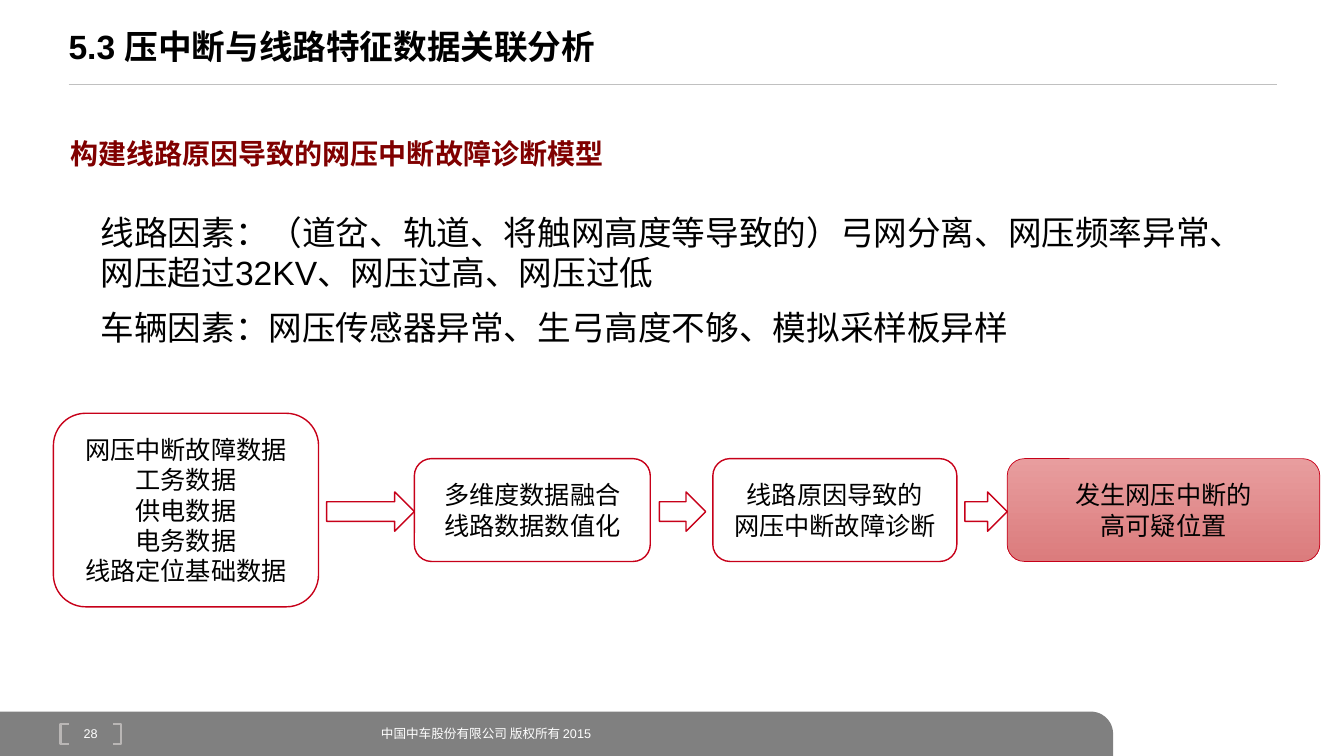
import pptx
import pptx.dml.color
import pptx.enum.dml
import pptx.enum.shapes
import pptx.enum.text
import pptx.oxml.ns
import pptx.util
from lxml import etree

Inches = pptx.util.Inches
Pt = pptx.util.Pt
RGBColor = pptx.dml.color.RGBColor
SHAPE = pptx.enum.shapes.MSO_SHAPE
ALIGN = pptx.enum.text.PP_ALIGN
MIDDLE = pptx.enum.text.MSO_ANCHOR.MIDDLE

BLACK = RGBColor(0x00, 0x00, 0x00)
WHITE = RGBColor(0xFF, 0xFF, 0xFF)
RULE_GRAY = RGBColor(0xC0, 0xC0, 0xC0)
FOOTER_GRAY = RGBColor(0x80, 0x80, 0x80)
BRACKET_GRAY = RGBColor(0xB9, 0xB6, 0xB5)
MAROON = RGBColor(0x80, 0x00, 0x00)
RED = RGBColor(0xC7, 0x00, 0x19)
PINK_TOP = RGBColor(0xE8, 0x9D, 0x9E)
PINK_BOTTOM = RGBColor(0xDB, 0x7C, 0x7D)

presentation = pptx.Presentation()
presentation.slide_width = Inches(13.33)
presentation.slide_height = Inches(7.5)
slide = presentation.slides.add_slide(presentation.slide_layouts[5])


def write(target, text, size, color, align=ALIGN.LEFT, font="Arial", bold=False, wrap=True):
    frame = target.text_frame
    frame.text = text
    frame.word_wrap = wrap
    for paragraph in frame.paragraphs:
        paragraph.alignment = align
        for run in paragraph.runs:
            run.font.name = font
            run.font.size = Pt(size)
            run.font.bold = bold
            run.font.color.rgb = color


def draw(kind, left, top, width, height, fill=None, line=None, weight=1):
    shape = slide.shapes.add_shape(kind, Inches(left), Inches(top), Inches(width), Inches(height))
    shape.shadow.inherit = False
    if fill is None:
        shape.fill.background()
    else:
        shape.fill.solid()
        shape.fill.fore_color.rgb = fill
    if line is None:
        shape.line.fill.background()
    else:
        shape.line.color.rgb = line
        shape.line.width = Pt(weight)
    return shape


title = slide.shapes.title
title.left, title.top = Inches(0.58), Inches(0.08)
title.width, title.height = Inches(12.18), Inches(0.76)
write(title, "5.3 压中断与线路特征数据关联分析", 24, BLACK, bold=True)
title.text_frame.vertical_anchor = MIDDLE
title.text_frame.auto_size = pptx.enum.text.MSO_AUTO_SIZE.NONE

title_rule = slide.shapes.add_connector(
    pptx.enum.shapes.MSO_CONNECTOR.STRAIGHT,
    Inches(0.68), Inches(0.84), Inches(12.67), Inches(0.84))
title_rule.line.color.rgb = RULE_GRAY
title_rule.line.width = Pt(0.25)
etree.SubElement(title_rule.element.spPr, pptx.oxml.ns.qn("a:effectLst"))

footer_band = draw(SHAPE.ROUND_1_RECTANGLE, 0, 7.06, 11.04, 0.44, FOOTER_GRAY)
footer_band.adjustments[0] = 0.5
for bracket_kind, left in [(SHAPE.LEFT_BRACKET, 0.6), (SHAPE.RIGHT_BRACKET, 1.12)]:
    bracket = draw(bracket_kind, left, 7.18, 0.08, 0.2, line=BRACKET_GRAY, weight=1.5)
    bracket.adjustments[0] = 0

footer_texts = [
    ("中国中车股份有限公司 版权所有 2015", 3.68, 5.24, ALIGN.LEFT),
    ("28", 0.6, 0.6, ALIGN.CENTER),
]
for text, left, width, align in footer_texts:
    footer = slide.shapes.add_textbox(Inches(left), Inches(7.08), Inches(width), Inches(0.39))
    write(footer, text, 9, WHITE, align)
    footer.text_frame.vertical_anchor = MIDDLE

heading = slide.shapes.add_textbox(Inches(0.6), Inches(1.14), Inches(5.86), Inches(0.55))
write(heading, "构建线路原因导致的网压中断故障诊断模型", 20, MAROON,
      font="Noto Sans CJK SC", bold=True)
heading.text_frame.paragraphs[0].line_spacing = 1.5

factors = [
    ("线路因素：（道岔、轨道、将触网高度等导致的）弓网分离、网压频率异常、网压超过32KV、网压过高、网压过低", 2.05, 0.91),
    ("车辆因素：网压传感器异常、生弓高度不够、模拟采样板异样", 3, 0.5),
]
for text, top, height in factors:
    factor = slide.shapes.add_textbox(Inches(0.9), Inches(top), Inches(11.26), Inches(height))
    write(factor, text, 24, BLACK)

steps = [
    ("网压中断故障数据\n工务数据\n供电数据\n电务数据\n线路定位基础数据", 0.53, 4.1, 2.63, 1.92),
    ("多维度数据融合\n线路数据数值化", 4.11, 4.55, 2.34, 1.02),
    ("线路原因导致的\n网压中断故障诊断", 7.07, 4.55, 2.42, 1.02),
    ("发生网压中断的\n高可疑位置", 9.99, 4.55, 3.1, 1.02),
]
for text, left, top, width, height in steps:
    step = draw(SHAPE.ROUNDED_RECTANGLE, left, top, width, height, WHITE, RED)
    write(step, text, 18, BLACK, ALIGN.CENTER, wrap=False)
    step.text_frame.vertical_anchor = MIDDLE

suspect_location = step
suspect_location.line.width = Pt(0.5)
suspect_location.fill.gradient()
suspect_location.fill.gradient_angle = 270
for stop, color in zip(suspect_location.fill.gradient_stops, [PINK_TOP, PINK_BOTTOM]):
    stop.color.rgb = color

for left, width in [(3.24, 0.87), (6.54, 0.46), (9.57, 0.42)]:
    draw(SHAPE.RIGHT_ARROW, left, 4.88, width, 0.39, WHITE, RED)

presentation.save("out.pptx")
